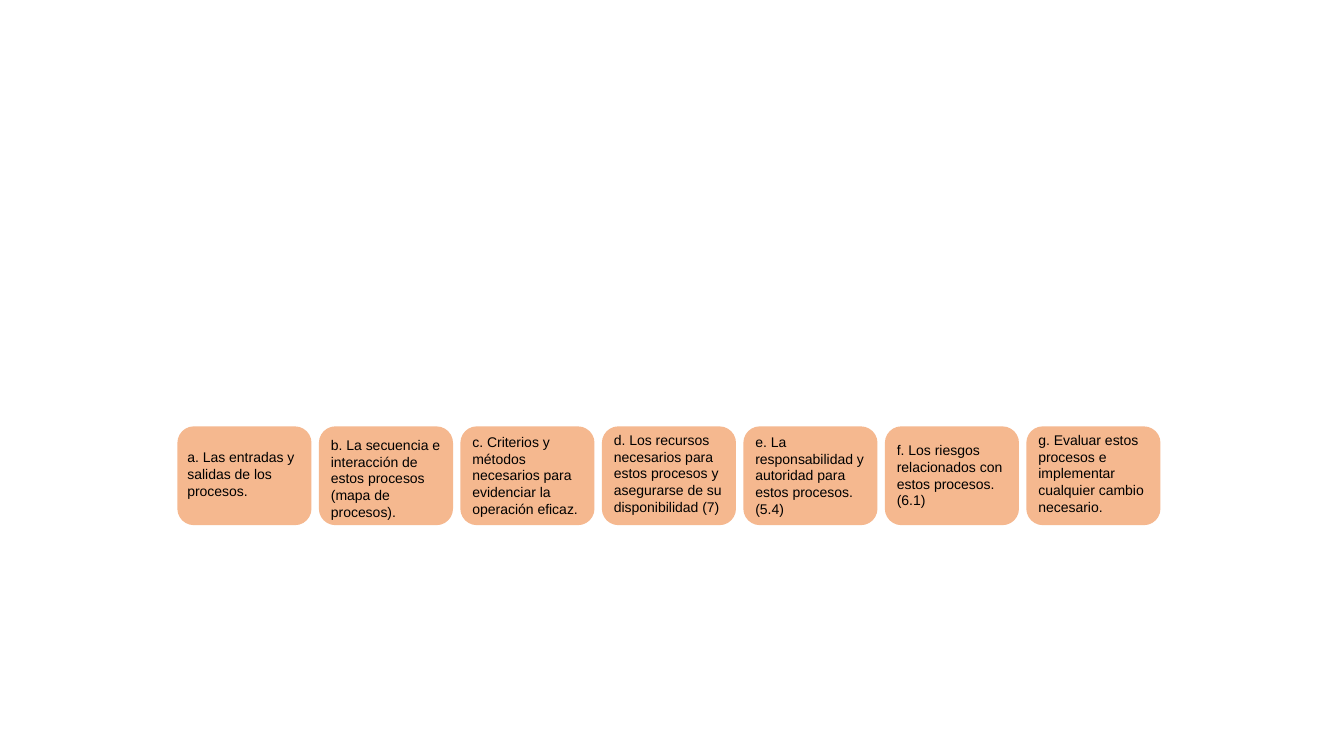
"""Build a slide with a row of seven process requirement cards."""
from pptx import Presentation
from pptx.dml.color import RGBColor
from pptx.enum.shapes import MSO_SHAPE
from pptx.enum.text import MSO_AUTO_SIZE
from pptx.util import Inches, Pt

REQUIREMENTS = [
    ("a. Las entradas y salidas de los procesos.", 4.40, 0.61),
    ("b. La secuencia e interacción de estos procesos (mapa de procesos).", 4.28, 0.94),
    ("c. Criterios y métodos necesarios para evidenciar la operación eficaz.", 4.25, 0.94),
    ("d. Los recursos necesarios para estos procesos y asegurarse de su disponibilidad (7)", 4.23, 0.94),
    ("e. La responsabilidad y autoridad para estos procesos. (5.4)", 4.25, 0.94),
    ("f. Los riesgos relacionados con estos procesos. (6.1)", 4.33, 0.77),
    ("g. Evaluar estos procesos e implementar cualquier cambio necesario.", 4.23, 0.94),
]
FIRST_LEFT, LAST_LEFT = 1.76, 10.18
CARD_TOP, CARD_WIDTH, CARD_HEIGHT = 4.23, 1.33, 0.98
LABEL_SHIFT = 0.02
PEACH, BLACK = "F5B88F", "000000"


def color(hex_code):
    return RGBColor.from_string(hex_code)


def add_card(row, left):
    card = row.shapes.add_shape(
        MSO_SHAPE.ROUNDED_RECTANGLE,
        Inches(left), Inches(CARD_TOP), Inches(CARD_WIDTH), Inches(CARD_HEIGHT),
    )
    card.shadow.inherit = False
    card.fill.solid()
    card.fill.fore_color.rgb = color(PEACH)
    card.line.fill.background()


def add_label(row, requirement, left, top, height):
    label = row.shapes.add_textbox(
        Inches(left), Inches(top), Inches(CARD_WIDTH), Inches(height)
    )
    frame = label.text_frame
    frame.word_wrap = True
    frame.auto_size = MSO_AUTO_SIZE.SHAPE_TO_FIT_TEXT
    frame.text = requirement
    font = frame.paragraphs[0].runs[0].font
    font.name = "Arial"
    font.size = Pt(10)
    font.color.rgb = color(BLACK)


def main():
    deck = Presentation()
    deck.slide_width, deck.slide_height = Inches(13.33), Inches(7.5)
    slide = deck.slides.add_slide(deck.slide_layouts[6])
    row = slide.shapes.add_group_shape()
    pitch = (LAST_LEFT - FIRST_LEFT) / (len(REQUIREMENTS) - 1)
    for index, (requirement, top, height) in enumerate(REQUIREMENTS):
        left = FIRST_LEFT + index * pitch
        add_card(row, left)
        shift = LABEL_SHIFT if index else 0
        add_label(row, requirement, left + shift, top, height)
    deck.save("out.pptx")


if __name__ == "__main__":
    main()
